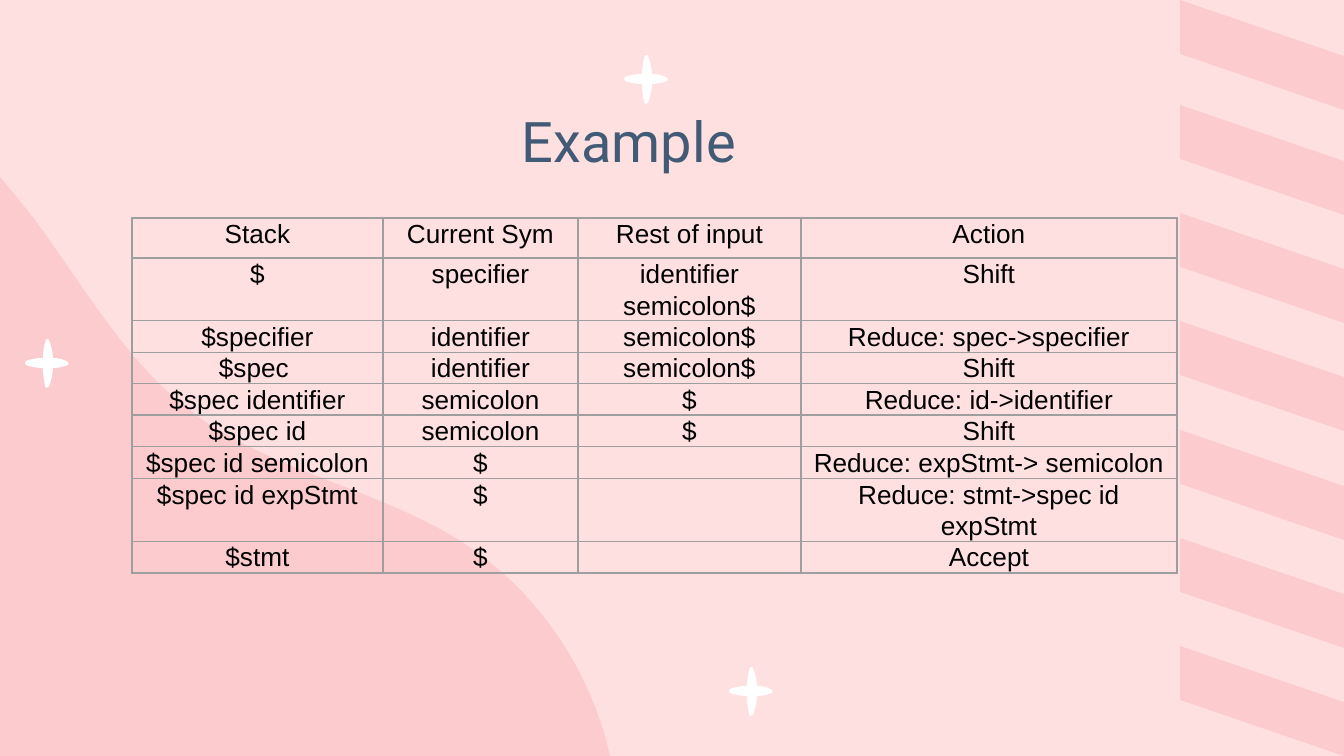
"""Build the shift-reduce parsing example slide."""
from lxml.etree import SubElement
from pptx import Presentation
from pptx.dml.color import RGBColor
from pptx.enum.shapes import MSO_SHAPE
from pptx.enum.text import MSO_ANCHOR, MSO_AUTO_SIZE, PP_ALIGN
from pptx.oxml.ns import qn
from pptx.util import Pt

TITLE = "Example"
ROWS = [
    ("Stack", "Current Sym", "Rest of input", "Action"),
    ("$", "specifier", "identifier semicolon$", "Shift"),
    ("$specifier", "identifier", "semicolon$", "Reduce: spec->specifier"),
    ("$spec ", "identifier", "semicolon$", "Shift"),
    ("$spec identifier", "semicolon", "$", "Reduce: id->identifier"),
    ("$spec id", "semicolon", "$", "Shift"),
    ("$spec id semicolon", "$", "", "Reduce: expStmt-> semicolon"),
    ("$spec id expStmt", "$", "", "Reduce: stmt->spec id expStmt"),
    ("$stmt", "$", "", "Accept"),
]
THEME = {
    "back": "FFE0E1", "accent": "FCCBCD", "star": "FFFFFF",
    "title": "415A75", "text": "000000", "border": "9E9E9E",
    "title_font": "Roboto", "text_font": "Arial",
    "title_size": 30, "text_size": 14,
}
SLIDE_W, SLIDE_H = 1344, 756
COLUMNS = [251, 195, 223, 376]
ROW_HEIGHTS = [40] + [5] * 8
STRIPE_TOPS = [0] + [round(105 + 108.2 * i) for i in range(6)]
STRIPE_W, STRIPE_H = 164, 110

WAVE = [(610, 756), (591, 671), (539, 593), (465, 544), (379, 488), (269, 472),
        (188, 409), (124, 359), (83, 285), (35, 220), (24, 206), (12, 191), (0, 177)]
STAR = [(22, 0), (22, 0), (21, 0), (21, 1), (19, 6), (18, 13), (18, 19),
        (12, 19), (6, 20), (1, 22), (0, 23), (0, 25), (1, 26),
        (6, 28), (12, 29), (18, 29), (18, 36), (20, 48), (21, 49),
        (22, 49), (23, 49), (24, 48), (26, 42), (28, 36), (28, 29),
        (33, 29), (38, 28), (43, 26), (44, 25), (44, 24), (43, 23),
        (38, 20), (33, 19), (28, 19), (28, 13), (26, 6), (24, 1),
        (24, 0), (23, 0), (22, 0)]
STAR_SPOTS = [(25, 339), (729, 667), (624, 55)]


def px(n):
    return round(n * 914400 / 134.4)


def rgb(name):
    return RGBColor.from_string(THEME[name])


def paint(sp, color):
    sp.shadow.inherit = False
    sp.fill.solid()
    sp.fill.fore_color.rgb = rgb(color)
    sp.line.fill.background()


def add_curves(s, curve, color, corners=(), left=0, top=0):
    """Draw a chain of cubic curves, then straight corners, as one closed outline."""
    places = [(px(x), px(y)) for x, y in [*curve, *corners]]
    builder = s.shapes.build_freeform(*places[0])
    builder.add_line_segments(places[1:], close=True)
    sp = builder.convert_to_shape(px(left), px(top))
    outline = next(sp._element.iter(qn("a:path")))
    lines = outline.findall(qn("a:lnTo"))
    for i in range(0, len(curve) - 1, 3):
        bend = outline.makeelement(qn("a:cubicBezTo"))
        lines[i].addprevious(bend)
        for line in lines[i:i + 3]:
            bend.append(line[0])
            outline.remove(line)
    paint(sp, color)


def add_text(p, text, size, font, color):
    p.alignment = PP_ALIGN.CENTER
    r = p.add_run()
    r.text = text
    r.font.size = Pt(THEME[size])
    r.font.name = THEME[font]
    r.font.color.rgb = rgb(color)


def add_borders(cell):
    tc_pr = cell._tc.get_or_add_tcPr()
    for side in ("lnL", "lnR", "lnT", "lnB"):
        line = SubElement(tc_pr, qn(f"a:{side}"), w=str(Pt(0.75)))
        fill = SubElement(line, qn("a:solidFill"))
        SubElement(fill, qn("a:srgbClr"), val=THEME["border"])


def fill_cell(cell, text):
    add_borders(cell)
    cell.fill.background()
    cell.margin_left = cell.margin_right = px(9)
    cell.margin_top = cell.margin_bottom = 0
    p = cell.text_frame.paragraphs[0]
    p.line_spacing = 1.07
    p.space_after = Pt(8)
    if text:
        add_text(p, text, "text_size", "text_font", "text")
    else:
        SubElement(p._p, qn("a:endParaRPr"), sz=str(THEME["text_size"] * 100))


def add_decoration(s):
    for top in STRIPE_TOPS:
        left = SLIDE_W - (STRIPE_W + STRIPE_H) / 2
        sp = s.shapes.add_shape(MSO_SHAPE.PARALLELOGRAM, px(left),
                                px(top + (STRIPE_H - STRIPE_W) / 2),
                                px(STRIPE_H), px(STRIPE_W))
        sp.adjustments[0] = 0.51
        sp.rotation = 90
        paint(sp, "accent")
    add_curves(s, WAVE, "accent", corners=[(0, SLIDE_H)])
    for left, top in STAR_SPOTS:
        add_curves(s, STAR, "star", left=left, top=top)


def add_title(s):
    title = s.shapes.title
    title.left, title.top, title.width, title.height = map(px, (443, 24, 372, 163))
    tf = title.text_frame
    tf.word_wrap = True
    tf.auto_size = MSO_AUTO_SIZE.NONE
    tf.vertical_anchor = MSO_ANCHOR.BOTTOM
    tf.margin_left = tf.margin_right = tf.margin_top = tf.margin_bottom = px(13)
    add_text(tf.paragraphs[0], TITLE, "title_size", "title_font", "title")


def add_parse_table(s):
    frame = s.shapes.add_table(len(ROWS), len(COLUMNS), px(132), px(218),
                               px(sum(COLUMNS)), px(sum(ROW_HEIGHTS)))
    table = frame.table
    table.first_row = table.horz_banding = False
    for column, width in zip(table.columns, COLUMNS):
        column.width = px(width)
    for row, height, texts in zip(table.rows, ROW_HEIGHTS, ROWS):
        row.height = px(height)
        for cell, text in zip(row.cells, texts):
            fill_cell(cell, text)


def main():
    prs = Presentation()
    prs.slide_width, prs.slide_height = px(SLIDE_W), px(SLIDE_H)
    s = prs.slides.add_slide(prs.slide_layouts[5])
    s.background.fill.solid()
    s.background.fill.fore_color.rgb = rgb("back")
    add_decoration(s)
    add_title(s)
    add_parse_table(s)
    prs.save("out.pptx")


if __name__ == "__main__":
    main()
